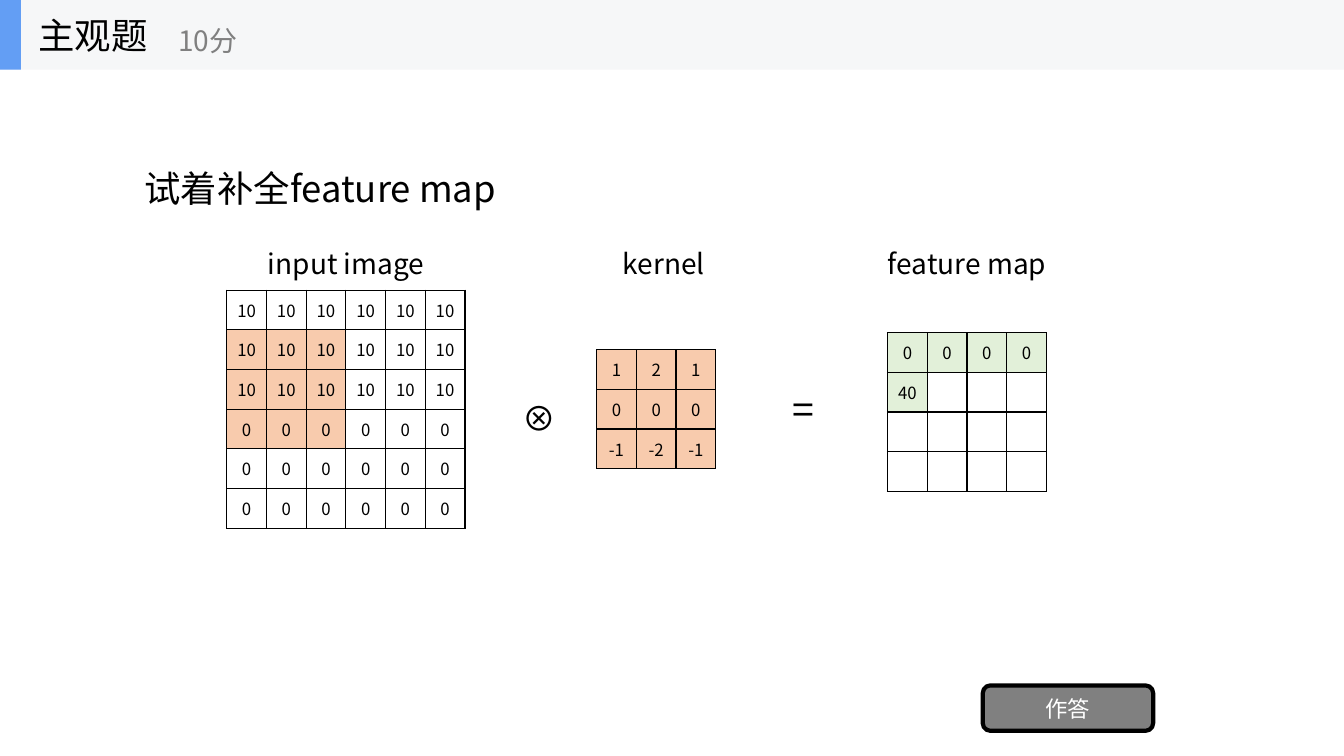
from lxml import etree
from pptx import Presentation, util as u
from pptx.dml.color import RGBColor
from pptx.enum import shapes, text
from pptx.oxml.ns import qn

FONT = "Noto Sans CJK SC"
BLACK, GRAY, WHITE = "000000", "808080", "FFFFFF"
ORANGE, GREEN = "F8CBAD", "E2F0D9"
CELL = 28.35
HEADER = 49.7


def color(value):
    return RGBColor.from_string(value)


def write(frame, words, size=20, ink=BLACK, align=text.PP_ALIGN.LEFT,
          anchor=text.MSO_ANCHOR.TOP, wrap=True, grow=False):
    frame.word_wrap = wrap
    frame.vertical_anchor = anchor
    if grow:
        frame.auto_size = text.MSO_AUTO_SIZE.SHAPE_TO_FIT_TEXT
    paragraph = frame.paragraphs[0]
    paragraph.alignment = align
    run = paragraph.add_run()
    run.text = words
    run.font.size = u.Pt(size)
    run.font.name = FONT
    run.font.color.rgb = color(ink)
    # Chinese characters take the East Asian typeface
    etree.SubElement(run.font._element, qn("a:ea"), typeface=FONT)


class Board:
    """Slide style together with the slide being filled."""

    def __init__(self, deck):
        self.slide = deck.slides.add_slide(deck.slide_layouts[6])
        self.canvas = self.slide.shapes

    def start_group(self):
        self.canvas = self.slide.shapes.add_group_shape().shapes

    def label(self, words, left, top, width, height, **form):
        box = self.canvas.add_textbox(*map(u.Pt, (left, top, width, height)))
        write(box.text_frame, words, **form)

    def block(self, kind, left, top, width, height, fill, line=None):
        block = self.canvas.add_shape(kind, *map(u.Pt, (left, top, width, height)))
        block.shadow.inherit = False
        block.fill.solid()
        block.fill.fore_color.rgb = color(fill)
        if line:
            block.line.color.rgb = color(line)
            block.line.width = u.Pt(3)
        else:
            block.line.fill.background()
        return block

    def matrix(self, rows, left, top, fill, shaded):
        """Draw a square grid; shaded holds the (row, column) pairs to fill."""
        count = len(rows)
        side = u.Pt(CELL * count)
        grid = self.canvas.add_table(count, count, u.Pt(left), u.Pt(top), side, side).table
        grid.first_row = grid.horz_banding = False
        for i, row in enumerate(rows):
            grid.rows[i].height = grid.columns[i].width = u.Pt(CELL)
            for j, value in enumerate(row):
                cell = grid.cell(i, j)
                cell.margin_top = cell.margin_bottom = 0
                cell.vertical_anchor = text.MSO_ANCHOR.MIDDLE
                if (i, j) in shaded:
                    cell.fill.solid()
                    cell.fill.fore_color.rgb = color(fill)
                else:
                    cell.fill.background()
                self.borders(cell)
                if value != "":
                    self.number(cell, value)

    def number(self, cell, value):
        paragraph = cell.text_frame.paragraphs[0]
        paragraph.alignment = text.PP_ALIGN.CENTER
        run = paragraph.add_run()
        run.text = str(value)
        run.font.size = u.Pt(12)
        run.font.name = FONT
        run.font.color.rgb = color(BLACK)

    def borders(self, cell):
        properties = cell._tc.get_or_add_tcPr()
        for place, edge in enumerate(("lnL", "lnR", "lnT", "lnB")):
            line = etree.Element(qn("a:" + edge), w=str(u.Pt(1)))
            paint = etree.SubElement(line, qn("a:solidFill"))
            etree.SubElement(paint, qn("a:srgbClr"), val=BLACK)
            properties.insert(place, line)


def main():
    deck = Presentation()
    deck.slide_width, deck.slide_height = u.Pt(960), u.Pt(540)
    board = Board(deck)
    middle, center = text.MSO_ANCHOR.MIDDLE, text.PP_ALIGN.CENTER

    # Question and answer button
    board.label("试着补全feature map", 96, HEADER, 768, 168.5, size=26, anchor=middle)
    button = board.block(shapes.MSO_SHAPE.ROUNDED_RECTANGLE,
                         702, 489.6, 121.7, 32.4, GRAY, line=BLACK)
    write(button.text_frame, "作答", size=16, ink=WHITE, align=center, anchor=middle)

    # Convolution: image, kernel and partly filled result
    image = [[10] * 6] * 3 + [[0] * 6] * 3
    window = {(i, j) for i in range(1, 4) for j in range(3)}
    board.matrix(image, 162, 207.2, ORANGE, window)

    kernel = [[1, 2, 1], [0, 0, 0], [-1, -2, -1]]
    board.matrix(kernel, 426.2, 249.8, ORANGE,
                 {(i, j) for i in range(3) for j in range(3)})

    feature_map = [[0] * 4, [40, "", "", ""]] + [[""] * 4] * 2
    known = {(i, j) for i, row in enumerate(feature_map)
             for j, value in enumerate(row) if value != ""}
    board.matrix(feature_map, 634, 237.6, GREEN, known)

    # Captions above the grids
    for caption, left, width in (("input image", 123.8, 247),
                                 ("kernel", 365.8, 216.7),
                                 ("feature map", 571.7, 238.3)):
        board.label(caption, left, 172.8, width, 31.7, align=center, grow=True)

    # Operators between the grids
    board.label("⊗", 366.5, 280.8, 36, 36, size=24, wrap=False, grow=True)
    board.label("=", 558.7, 271.4, 28.8, 41, size=28, wrap=False, grow=True)

    # Header bar with question type and score
    board.start_group()
    for width, fill in ((960, "F6F7F8"), (15, "639EF4")):
        board.block(shapes.MSO_SHAPE.RECTANGLE, 0, 0, width, HEADER, fill)
    board.label("主观题", 20.2, 0, 149.8, HEADER, size=26, anchor=middle, wrap=False)
    board.label("10分", 120.2, 8.6, 180, 40.3, ink=GRAY, anchor=middle, wrap=False)

    deck.save("out.pptx")


if __name__ == "__main__":
    main()
